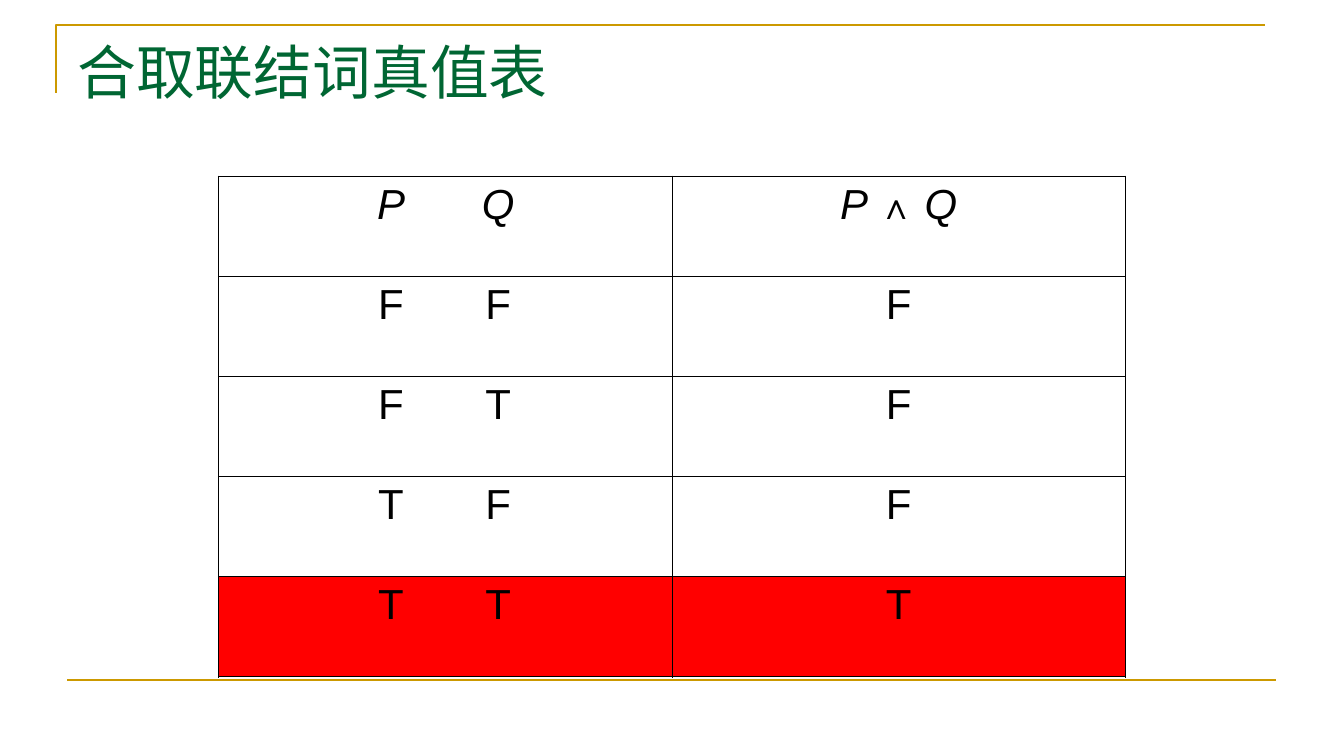
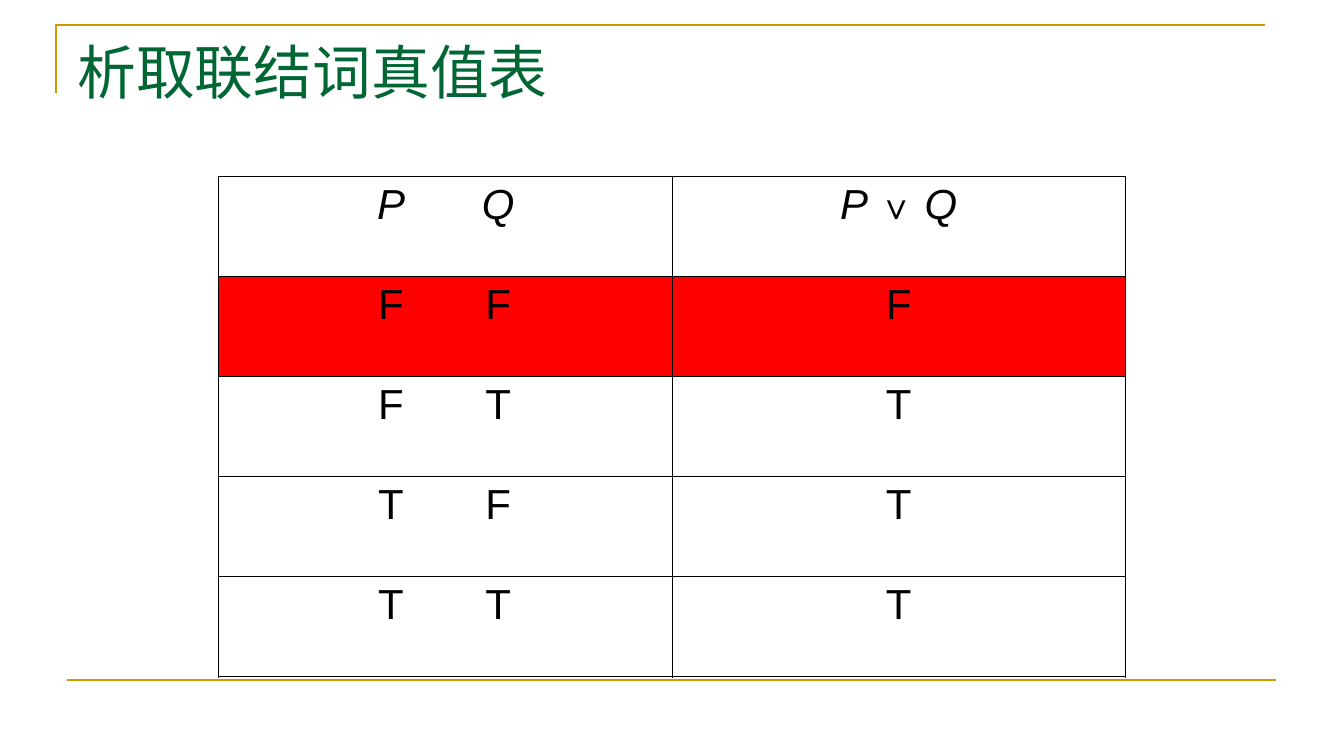
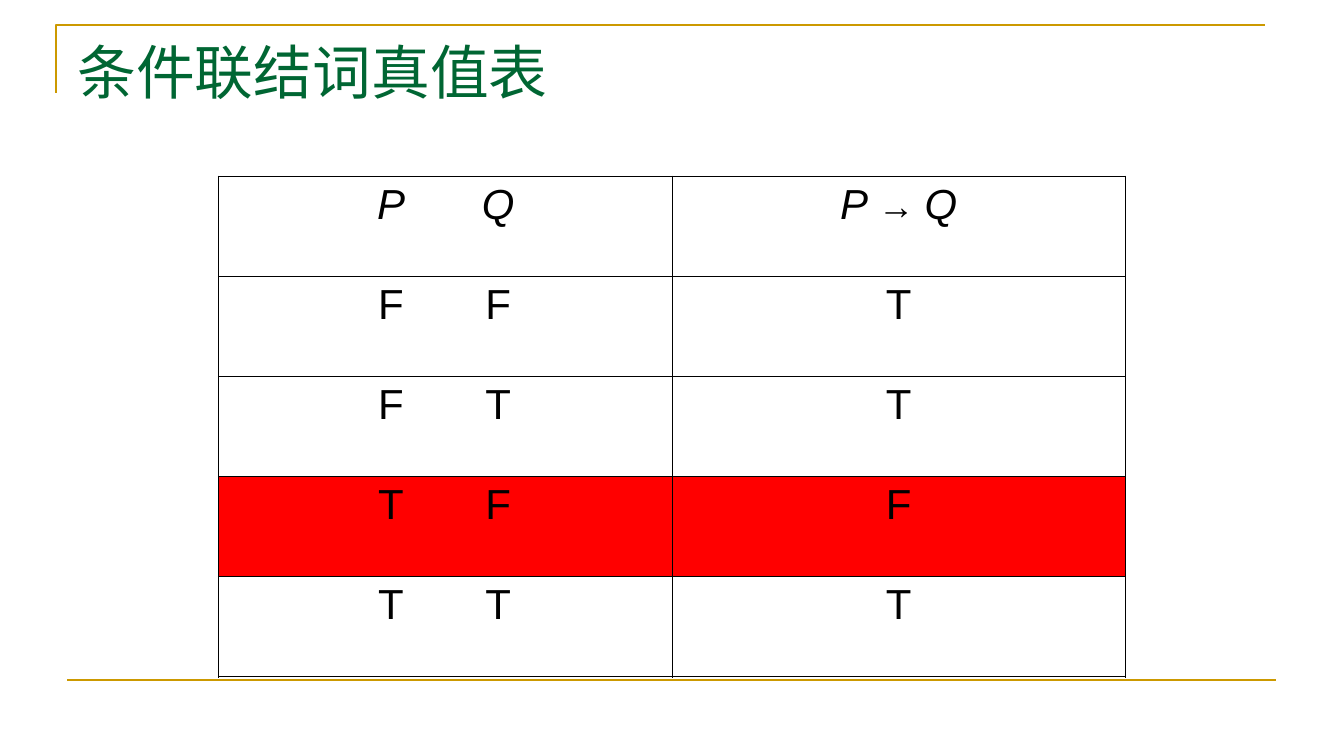
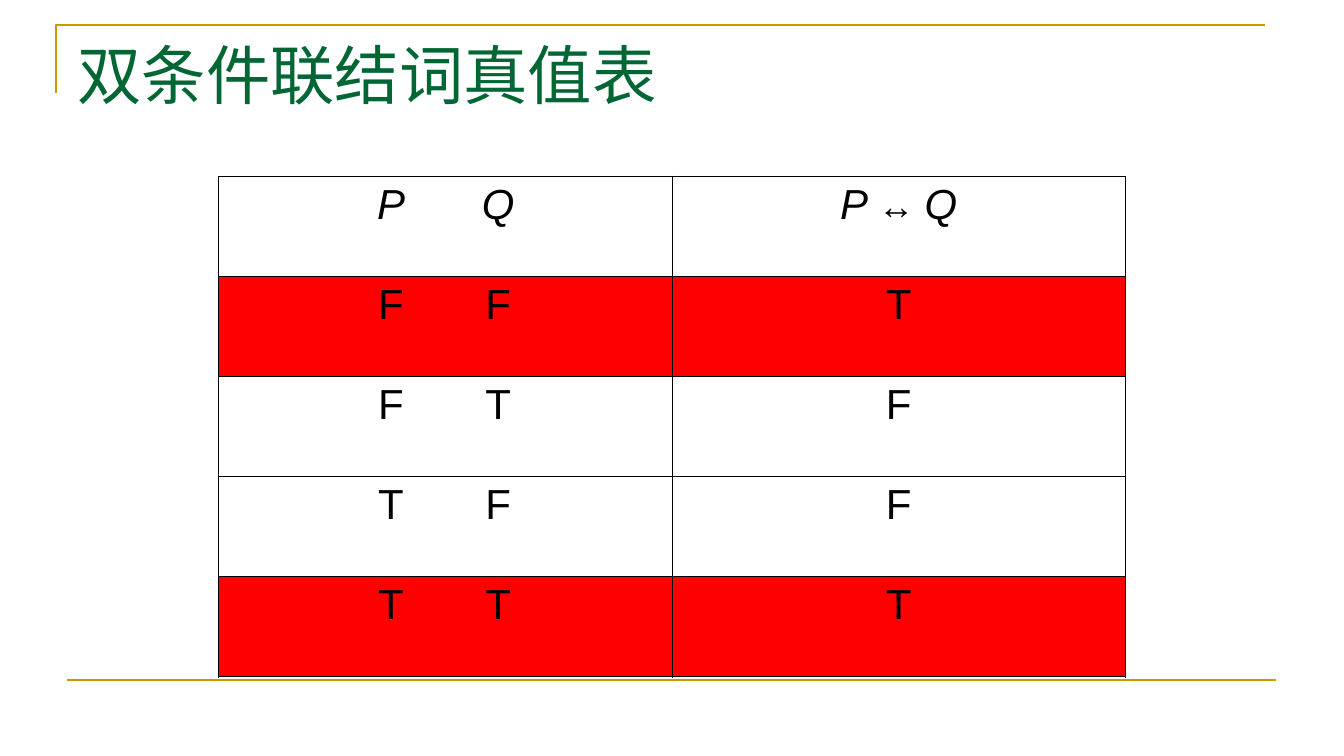
from dataclasses import dataclass

from pptx import Presentation
from pptx.dml import color
from pptx.enum import shapes, text
from pptx.oxml import ns
from pptx.util import Pt
from lxml import etree

# Shared style
GOLD, GREEN, RED, BLACK = "CC9900", "006633", "FF0000", "000000"
TITLE_FONT, TABLE_FONT = "Times New Roman", "Arial"
TABLE_LEFT, TABLE_TOP = 156.24, 126
COLUMN_WIDTH, ROW_HEIGHT = 324, 71.5
TABLE_SIZE, OPERATOR_SIZE = 30, 26
OUTER_BORDER, INNER_BORDER = 1.08, 0.45
TAB_STOPS = (116, 192.5)
INPUTS = ("FF", "FT", "TF", "TT")


@dataclass
class TruthTable:
    title: str
    operator: str
    results: str
    marked: tuple[int, ...]
    title_size: float = 42


TRUTH_TABLES = [
    TruthTable("合取联结词真值表", "∧", "FFFT", (4,)),
    TruthTable("析取联结词真值表", "∨", "FTTT", (1,)),
    TruthTable("条件联结词真值表", "→", "TTFT", (3,)),
    TruthTable("双条件联结词真值表", "↔", "TFFT", (1, 4), 46),
]


def rgb(value: str) -> color.RGBColor:
    return color.RGBColor.from_string(value)


def style_run(r, font: str, size: float, colour: str, italic: bool = False) -> None:
    r.font.name = font
    r.font.size = Pt(size)
    r.font.color.rgb = rgb(colour)
    r.font.italic = italic


# Rules around the slide
def style_rule(sp) -> None:
    sp.line.color.rgb = rgb(GOLD)
    sp.line.width = Pt(1.5)


def add_frame(s) -> None:
    outline = s.shapes.build_freeform(Pt(40.32), Pt(66.24))
    outline.add_line_segments([(Pt(40.32), Pt(18)), (Pt(904.32), Pt(18))], close=False)
    corner = outline.convert_to_shape()
    corner.fill.background()
    corner.shadow.inherit = False
    style_rule(corner)

    base = s.shapes.add_connector(
        shapes.MSO_CONNECTOR.STRAIGHT, Pt(48.24), Pt(486), Pt(912.24), Pt(486))
    style_rule(base)
    etree.SubElement(base._element.spPr, ns.qn("a:effectLst"))


def add_title(s, title: str, size: float) -> None:
    sp = s.shapes.add_textbox(Pt(48.24), Pt(21.6), Pt(864), Pt(90))
    tf = sp.text_frame
    tf.word_wrap = True
    tf.text = title
    style_run(tf.paragraphs[0].runs[0], TITLE_FONT, size, GREEN)


# Table cells
def set_borders(cell, widths: dict[str, float]) -> None:
    tc_pr = cell._tc.get_or_add_tcPr()
    for i, (side, width) in enumerate(widths.items()):
        ln = etree.Element(ns.qn(f"a:ln{side}"), w=str(Pt(width)))
        fill = etree.SubElement(ln, ns.qn("a:solidFill"))
        etree.SubElement(fill, ns.qn("a:srgbClr"), val=BLACK)
        tc_pr.insert(i, ln)


def write_inputs(p, pair: str, italic: bool) -> None:
    tabs = etree.SubElement(p._p.get_or_add_pPr(), ns.qn("a:tabLst"))
    for stop in TAB_STOPS:
        etree.SubElement(tabs, ns.qn("a:tab"), pos=str(Pt(stop)), algn="ctr")
    p.text = f"\t{pair[0]}\t{pair[1]}"
    style_run(p.runs[0], TABLE_FONT, TABLE_SIZE, BLACK, italic)


def write_result(p, parts: list[tuple[str, float, bool]]) -> None:
    p.alignment = text.PP_ALIGN.CENTER
    for words, size, italic in parts:
        r = p.add_run()
        r.text = words
        style_run(r, TABLE_FONT, size, BLACK, italic)


def add_truth_table(s, data: TruthTable) -> None:
    pairs = ("PQ", *INPUTS)
    formula = [("P ", TABLE_SIZE, True), (f"{data.operator} ", OPERATOR_SIZE, False),
               ("Q", TABLE_SIZE, True)]
    results = [formula, *([(value, TABLE_SIZE, False)] for value in data.results)]
    last = len(pairs) - 1

    table = s.shapes.add_table(
        len(pairs), 2, Pt(TABLE_LEFT), Pt(TABLE_TOP),
        Pt(2 * COLUMN_WIDTH), Pt(len(pairs) * ROW_HEIGHT)).table
    table.first_row = table.horz_banding = False

    for row, (pair, result) in enumerate(zip(pairs, results)):
        table.rows[row].height = Pt(ROW_HEIGHT)
        left, right = table.cell(row, 0), table.cell(row, 1)
        write_inputs(left.text_frame.paragraphs[0], pair, italic=row == 0)
        write_result(right.text_frame.paragraphs[0], result)
        for cell in (left, right):
            if row in data.marked:
                cell.fill.solid()
                cell.fill.fore_color.rgb = rgb(RED)
            else:
                cell.fill.background()
            outer = {"L": cell is left, "R": cell is right,
                     "T": row == 0, "B": row == last}
            set_borders(cell, {side: OUTER_BORDER if edge else INNER_BORDER
                               for side, edge in outer.items()})


def main() -> None:
    prs = Presentation()
    prs.slide_width, prs.slide_height = Pt(960.48), Pt(540)
    for data in TRUTH_TABLES:
        s = prs.slides.add_slide(prs.slide_layouts[6])
        add_frame(s)
        add_title(s, data.title, data.title_size)
        add_truth_table(s, data)
    prs.save("out.pptx")


if __name__ == "__main__":
    main()
